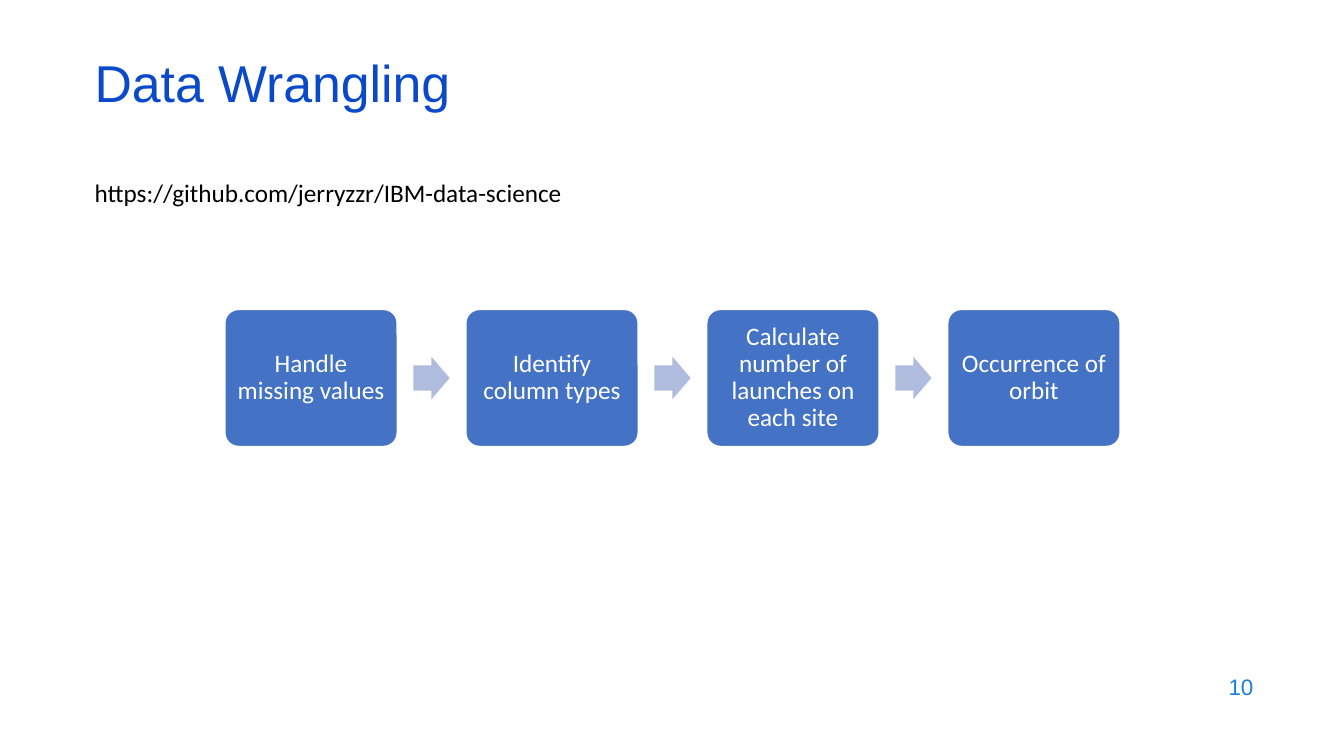
import pptx
import pptx.util
import pptx.dml.color
import pptx.enum.shapes
import pptx.enum.text

Inches = pptx.util.Inches
Pt = pptx.util.Pt
SHAPE = pptx.enum.shapes.MSO_SHAPE
ALIGN = pptx.enum.text.PP_ALIGN
MIDDLE = pptx.enum.text.MSO_ANCHOR.MIDDLE
TOP = pptx.enum.text.MSO_ANCHOR.TOP

COLORS = {
    "title": "0B49CB",
    "number": "1C7DDB",
    "box": "4472C4",
    "arrow": "B0BCDE",
    "white": "FFFFFF",
    "black": "000000",
}
STEPS = [
    "Handle missing values",
    "Identify column types",
    "Calculate number of launches on each site",
    "Occurrence of orbit",
]
LEFT, PITCH = 2.23, 2.39


def color(name):
    return pptx.dml.color.RGBColor.from_string(COLORS[name])


def write(frame, text, font="Calibri", size=18, ink="black",
          align=ALIGN.LEFT, anchor=MIDDLE, spacing=1.0):
    frame.word_wrap = True
    frame.vertical_anchor = anchor
    para = frame.paragraphs[0]
    para.alignment = align
    para.line_spacing = spacing
    run = para.add_run()
    run.text = text
    run.font.name = font
    run.font.size = Pt(size)
    run.font.color.rgb = color(ink)


class Deck:
    """Holds the presentation, its style and the current slide."""

    def __init__(self):
        self.file = pptx.Presentation()
        self.file.slide_width = Inches(13.33)
        self.file.slide_height = Inches(7.5)
        self.slide = self.file.slides.add_slide(self.file.slide_layouts[6])

    def label(self, text, x, y, w, h, **style):
        box = self.slide.shapes.add_textbox(
            Inches(x), Inches(y), Inches(w), Inches(h))
        write(box.text_frame, text, **style)

    def shape(self, kind, x, y, w, h, fill, ratios):
        item = self.slide.shapes.add_shape(
            kind, Inches(x), Inches(y), Inches(w), Inches(h))
        item.shadow.inherit = False
        item.fill.solid()
        item.fill.fore_color.rgb = color(fill)
        item.line.fill.background()
        for i, ratio in enumerate(ratios):
            item.adjustments[i] = ratio
        return item

    def step(self, text, x):
        box = self.shape(SHAPE.ROUNDED_RECTANGLE, x, 3.07, 1.71, 1.36,
                         "box", [0.1])
        box.line.color.rgb = color("white")
        box.line.width = Pt(1)
        frame = box.text_frame
        frame.margin_left = frame.margin_right = Inches(0.07)
        frame.margin_top = frame.margin_bottom = Inches(0.07)
        write(frame, text, ink="white", align=ALIGN.CENTER, spacing=0.9)

    def arrow(self, x):
        self.shape(SHAPE.RIGHT_ARROW, x, 3.54, 0.36, 0.42,
                   "arrow", [0.6, 0.5])


def main():
    deck = Deck()
    deck.label("Data Wrangling", 0.84, 0.59, 11.5, 0.6,
               font="Arial", size=37, ink="title", spacing=0.7)
    deck.label("https://github.com/jerryzzr/IBM-data-science",
               0.84, 1.71, 6.67, 0.4, anchor=TOP)
    for i, text in enumerate(STEPS):
        x = LEFT + i * PITCH
        if i:
            deck.arrow(x - 0.52)
        deck.step(text, x)
    deck.label("10", 9.53, 6.59, 3, 0.44, font="Arial", size=16,
               ink="number", align=ALIGN.RIGHT)
    deck.file.save("out.pptx")


if __name__ == "__main__":
    main()
